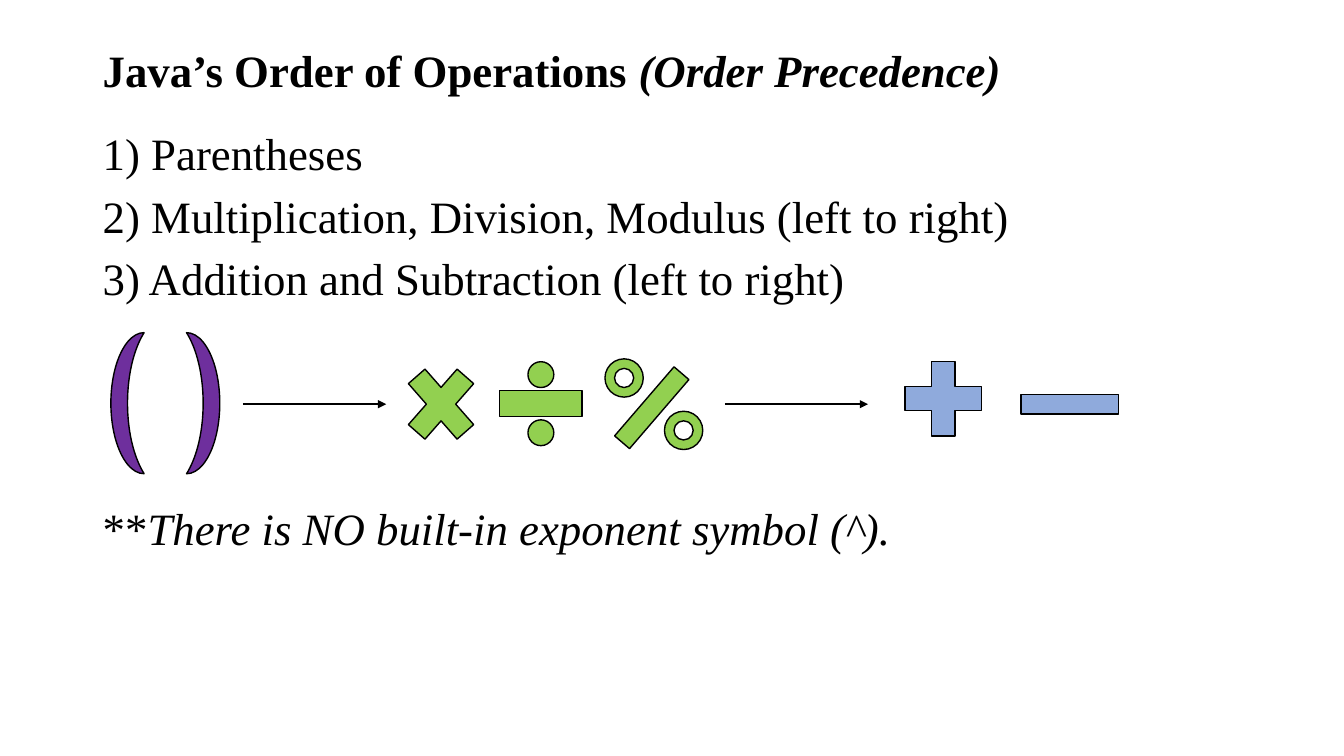
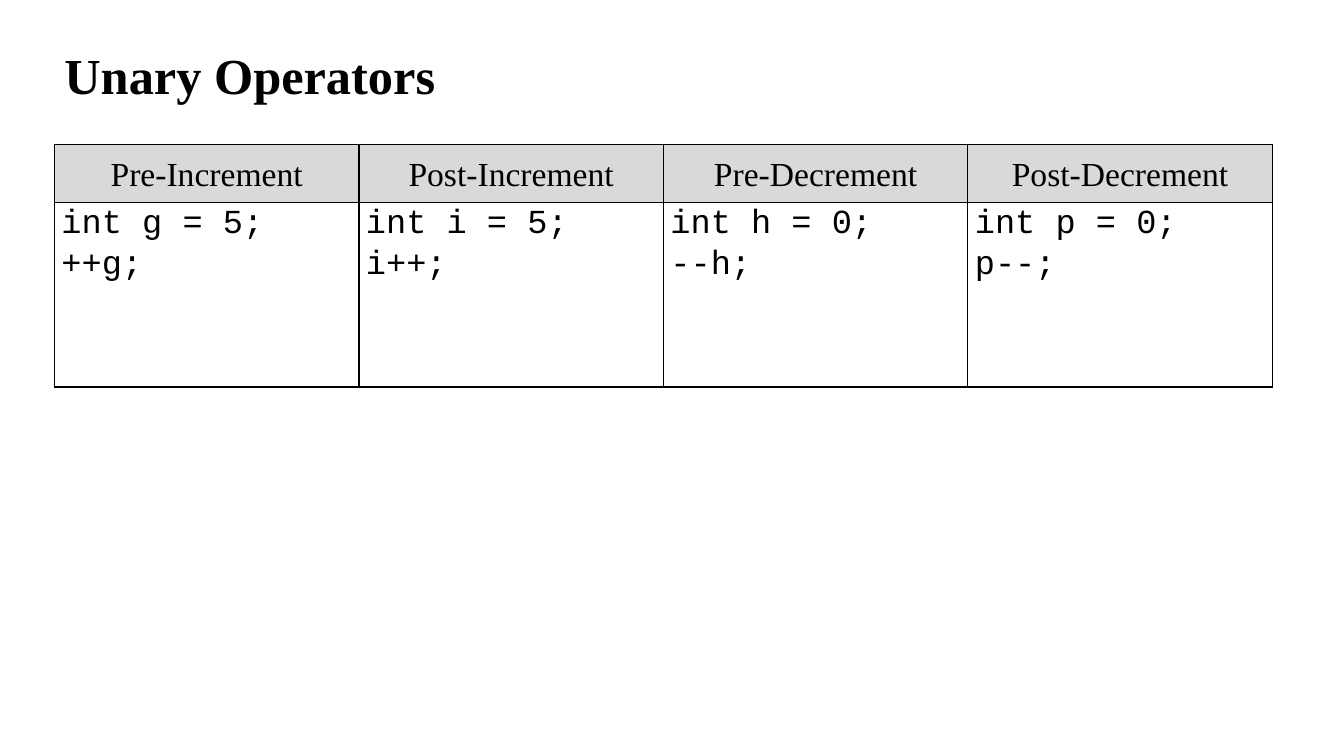
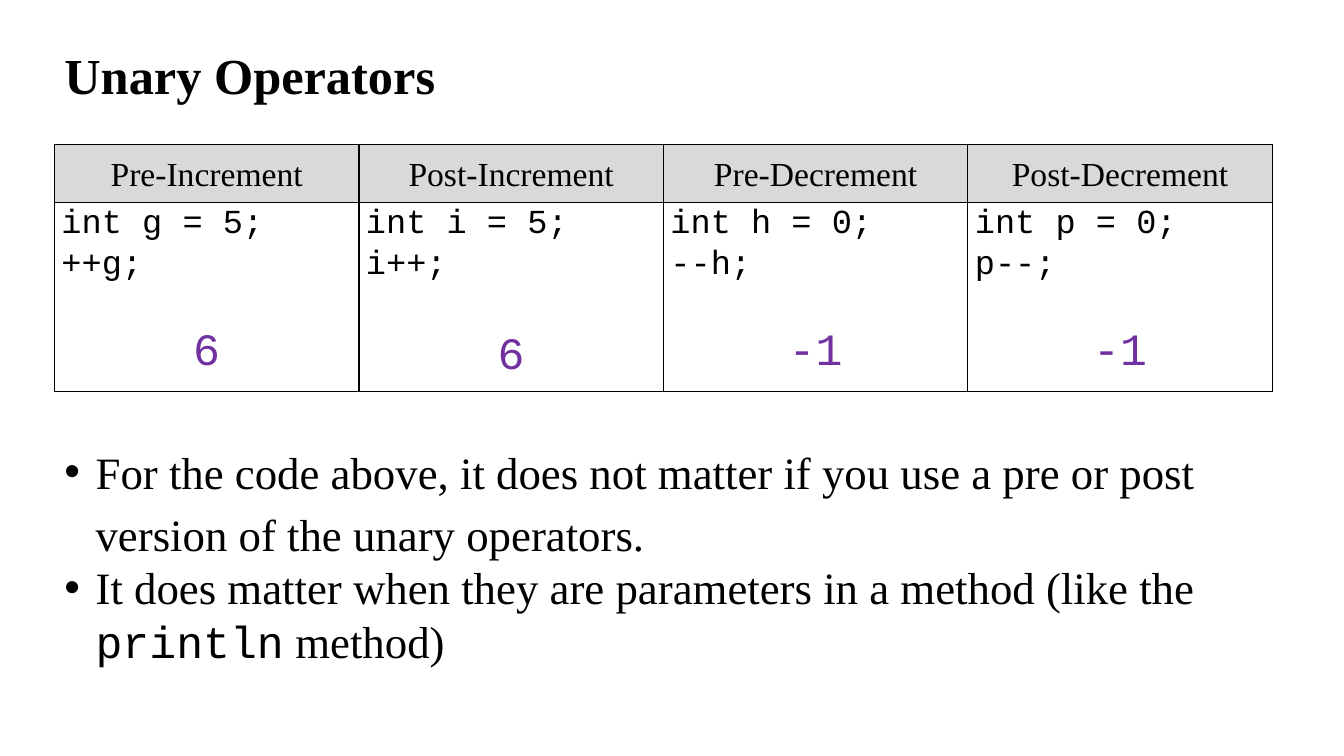
from lxml import etree
from pptx import Presentation
from pptx import util as u
from pptx.dml import color
from pptx.enum import shapes, text
from pptx.oxml import ns

SERIF, MONO = "Times New Roman", "Courier New"
BLACK, GRAY, PURPLE = "000000", "D9D9D9", "7030A0"
MOON, GREEN, BLUE = "6E2F9D", "92D050", "8FAADC"
KIND = shapes.MSO_SHAPE
ALIGN = text.PP_ALIGN
MIDDLE = text.MSO_ANCHOR.MIDDLE

ORDER_TITLE = [("Java’s Order of Operations ", {"bold": True}),
               ("(Order Precedence)", {"bold": True, "italic": True})]
ORDER_STEPS = ["1) Parentheses",
               "2) Multiplication, Division, Modulus (left to right)",
               "3) Addition and Subtraction (left to right)"]
EXPONENT_NOTE = [("**", {}),
                 ("There is NO built-in exponent symbol (^).", {"italic": True})]
SYMBOLS = [
    (KIND.MOON, (110, 330, 33, 140), MOON, 0),
    (KIND.MOON, (185, 330, 33, 140), MOON, 180),
    (KIND.MATH_MULTIPLY, (391, 348, 93, 106), GREEN, 0),
    (KIND.MATH_DIVIDE, (481, 346, 111, 109), GREEN, 0),
    (KIND.MATH_MINUS, (585, 363, 123, 83), GREEN, 310.7),
    (KIND.DONUT, (600, 356, 38, 38), GREEN, 0),
    (KIND.DONUT, (659, 408, 38, 38), GREEN, 0),
    (KIND.MATH_PLUS, (884, 345, 103, 101), BLUE, 0),
    (KIND.MATH_MINUS, (995, 359, 132, 84), BLUE, 0),
]
ARROW_STARTS, ARROW_LENGTH, ARROW_Y = (241, 719), 142, 401

UNARY_TITLE = [("Unary Operators", {"bold": True, "size": 36})]
OPERATORS = [
    ("Pre-Increment", ["int g = 5;", "++g;"], "6", 29),
    ("Post-Increment", ["int i = 5;", "i++;"], "6", 32),
    ("Pre-Decrement", ["int h = 0;", "--h;"], "-1", 29),
    ("Post-Decrement", ["int p = 0;", "p--;"], "-1", 29),
]
REMARKS = [
    (1.15, [("For the code above, it does not matter if you use a pre or post "
             "version of the unary operators.", {})]),
    (1, [("It does matter when they are parameters in a method (like the ", {}),
         ("println", {"name": MONO}), (" method)", {})]),
]


def px(value):
    return u.Emu(round(value * 9144))


def rgb(value):
    return color.RGBColor.from_string(value)


def write(frame, paragraphs):
    for index, (runs, layout) in enumerate(paragraphs):
        paragraph = frame.paragraphs[0] if index == 0 else frame.add_paragraph()
        for name, value in layout.items():
            setattr(paragraph, name, value)
        for words, style in runs:
            run = paragraph.add_run()
            run.text = words
            style = {"name": SERIF, "size": 32, "color": BLACK, **style}
            run.font.color.rgb = rgb(style.pop("color"))
            run.font.size = u.Pt(style.pop("size"))
            for name, value in style.items():
                setattr(run.font, name, value)


def add_text(slide, box, paragraphs, anchor=text.MSO_ANCHOR.TOP):
    frame = slide.shapes.add_textbox(*map(px, box)).text_frame
    frame.word_wrap = True
    frame.vertical_anchor = anchor
    write(frame, paragraphs)
    return frame


def add_slide(presentation, title, title_box):
    slide = presentation.slides.add_slide(presentation.slide_layouts[6])
    add_text(slide, title_box, [(title, {"line_spacing": 0.9})], MIDDLE)
    return slide


def add_symbol(slide, kind, box, fill, rotation):
    shape = slide.shapes.add_shape(kind, *map(px, box))
    shape.shadow.inherit = False
    shape.rotation = rotation
    shape.fill.solid()
    shape.fill.fore_color.rgb = rgb(fill)
    shape.line.color.rgb = rgb(BLACK)
    shape.line.width = u.Pt(1)


def add_arrow(slide, left, top, length):
    arrow = slide.shapes.add_connector(
        shapes.MSO_CONNECTOR.STRAIGHT, px(left), px(top), px(left + length), px(top))
    arrow.line.color.rgb = rgb(BLACK)
    arrow.line.width = u.Pt(1.5)
    etree.SubElement(arrow.line._get_or_add_ln(), ns.qn("a:tailEnd"), type="triangle")
    etree.SubElement(arrow._element.spPr, ns.qn("a:effectLst"))


def format_cell(cell, fill=None):
    cell.margin_left = cell.margin_right = px(7)
    cell.margin_top = cell.margin_bottom = 0
    properties = cell._tc.get_or_add_tcPr()
    for side in "LRTB":
        border = etree.SubElement(properties, ns.qn(f"a:ln{side}"), w=str(u.Pt(1)))
        solid = etree.SubElement(border, ns.qn("a:solidFill"))
        etree.SubElement(solid, ns.qn("a:srgbClr"), val=BLACK)
    if fill:
        cell.fill.solid()
        cell.fill.fore_color.rgb = rgb(fill)
    else:
        cell.fill.background()


def add_operator_table(slide, code_height, show_answers):
    heights = (58, code_height)
    table = slide.shapes.add_table(
        2, len(OPERATORS), px(54), px(143), px(302 * len(OPERATORS)), px(sum(heights))).table
    table.first_row = table.horz_banding = False
    for row, height in zip(table.rows, heights):
        row.height = px(height)
    for column, (heading, code, answer, gap) in enumerate(OPERATORS):
        header, body = table.cell(0, column), table.cell(1, column)
        format_cell(header, GRAY)
        format_cell(body)
        header.vertical_anchor = MIDDLE
        write(header.text_frame, [([(heading, {"size": 24})],
                                   {"alignment": ALIGN.CENTER, "line_spacing": 1.07})])
        lines = [([(line, {"name": MONO, "size": 24})], {"line_spacing": 1.07})
                 for line in code]
        if show_answers:
            lines.append(([(answer, {"name": MONO, "color": PURPLE})],
                          {"alignment": ALIGN.CENTER, "line_spacing": 1.07,
                           "space_before": u.Pt(gap)}))
        write(body.text_frame, lines)


def add_bullets(frame):
    for paragraph in frame.paragraphs:
        properties = paragraph._p.get_or_add_pPr()
        properties.set("marL", str(px(31)))
        properties.set("indent", str(px(-31)))
        etree.SubElement(properties, ns.qn("a:buFont"), typeface="Arial")
        etree.SubElement(properties, ns.qn("a:buChar"), char="•")


def build_order_slide(presentation):
    slide = add_slide(presentation, ORDER_TITLE, (92, 40, 1150, 64))
    gaps = (0, 10, 10, 144)
    lines = [[(step, {})] for step in ORDER_STEPS] + [EXPONENT_NOTE]
    add_text(slide, (92, 126, 1150, 550),
             [(runs, {"line_spacing": 0.9, "space_before": u.Pt(gap)})
              for runs, gap in zip(lines, gaps)])
    for symbol in SYMBOLS:
        add_symbol(slide, *symbol)
    for left in ARROW_STARTS:
        add_arrow(slide, left, ARROW_Y, ARROW_LENGTH)


def build_unary_slide(presentation, code_height, show_answers):
    slide = add_slide(presentation, UNARY_TITLE, (54, 29, 1150, 98))
    add_operator_table(slide, code_height, show_answers)
    if show_answers:
        add_bullets(add_text(slide, (54, 428, 1167, 242),
                             [(runs, {"line_spacing": spacing})
                              for spacing, runs in REMARKS]))


def main():
    presentation = Presentation()
    presentation.slide_width, presentation.slide_height = px(1333), px(750)
    build_order_slide(presentation)
    build_unary_slide(presentation, 183, False)
    build_unary_slide(presentation, 180, True)
    presentation.save("out.pptx")


if __name__ == "__main__":
    main()
